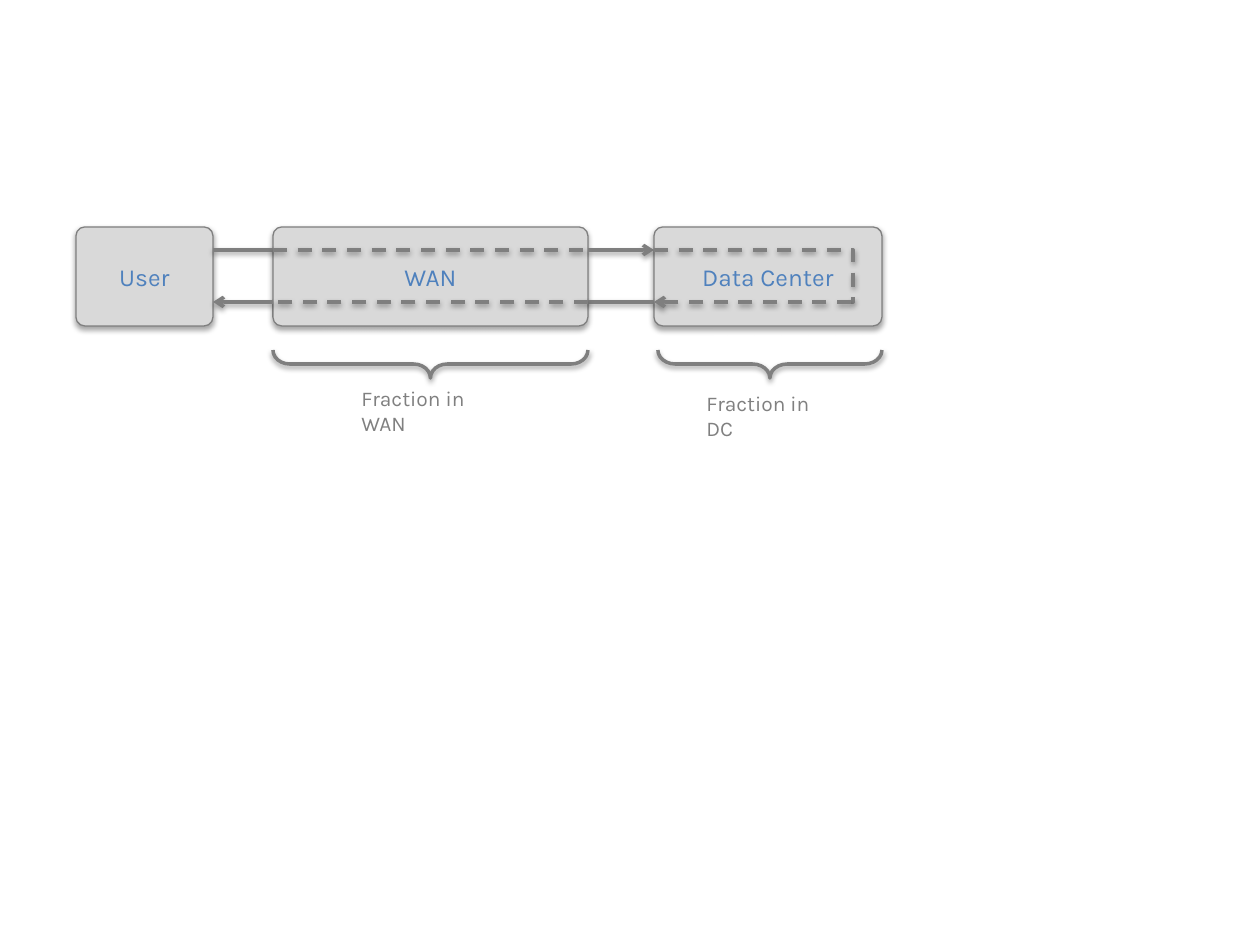
from lxml import etree
from pptx import Presentation
from pptx.dml.color import RGBColor
from pptx.enum.dml import MSO_LINE
from pptx.enum.shapes import MSO_CONNECTOR, MSO_SHAPE
from pptx.enum.text import MSO_ANCHOR, PP_ALIGN
from pptx.oxml.ns import qn
from pptx.util import Emu, Pt

ROUND_RECT, LEFT_BRACE = MSO_SHAPE.ROUNDED_RECTANGLE, MSO_SHAPE.LEFT_BRACE
STRAIGHT, ELBOW = MSO_CONNECTOR.STRAIGHT, MSO_CONNECTOR.ELBOW
DASH = MSO_LINE.DASH
LEFT, CENTER = PP_ALIGN.LEFT, PP_ALIGN.CENTER
TOP, MIDDLE = MSO_ANCHOR.TOP, MSO_ANCHOR.MIDDLE

SCALE = 914400 / 126
GRAY, PALE, BLUE = "7F7F7F", "D9D9D9", "4F81BD"
LABEL_GRAY = "808080"
BOX_TOP, BOX_HEIGHT = 227, 99
REQUEST_Y, REPLY_Y = 250, 302
USER_RIGHT, WAN_LEFT, WAN_RIGHT, DC_LEFT, TURN_X = 213, 273, 588, 654, 851


def px(*values):
    return [Emu(round(v * SCALE)) for v in values]


def color(hex_text):
    return RGBColor.from_string(hex_text)


def add_shadow(sp, opacity, dist):
    spPr = sp._element.spPr
    effects = spPr.find(qn("a:effectLst"))
    if effects is None:
        effects = etree.SubElement(spPr, qn("a:effectLst"))
    shadow = etree.SubElement(effects, qn("a:outerShdw"), blurRad=str(Pt(3.1)),
                              dist=str(Pt(dist)), dir="5400000", rotWithShape="0")
    clr = etree.SubElement(shadow, qn("a:srgbClr"), val="000000")
    etree.SubElement(clr, qn("a:alpha"), val=str(opacity * 1000))


def set_line(sp, hex_text, width):
    sp.line.color.rgb = color(hex_text)
    sp.line.width = Pt(width)


def set_text(sp, text, size, hex_text, align=LEFT, anchor=TOP):
    tf = sp.text_frame
    tf.word_wrap = True
    tf.vertical_anchor = anchor
    p = tf.paragraphs[0]
    p.alignment = align
    r = p.add_run()
    r.text = text
    r.font.size = Pt(size)
    r.font.name = "Karla"
    r.font.color.rgb = color(hex_text)


def add_box(s, text, x, width):
    sp = s.shapes.add_shape(ROUND_RECT, *px(x, BOX_TOP, width, BOX_HEIGHT))
    sp.adjustments[0] = 0.09
    sp.fill.solid()
    sp.fill.fore_color.rgb = color(PALE)
    set_line(sp, GRAY, 0.75)
    sp.shadow.inherit = False
    add_shadow(sp, 35, 1.8)
    set_text(sp, text, 14, BLUE, align=CENTER, anchor=MIDDLE)


def add_brace(s, x, y, width, height, curl):
    cx, cy = x + width / 2, y + height / 2
    sp = s.shapes.add_shape(
        LEFT_BRACE, *px(cx - height / 2, cy - width / 2, height, width))
    sp.rotation = 270
    sp.adjustments[0] = curl
    sp.adjustments[1] = 0.5
    sp.fill.background()
    set_line(sp, GRAY, 2)
    sp.shadow.inherit = False
    add_shadow(sp, 38, 1.6)


def add_label(s, text, x, y, width):
    sp = s.shapes.add_textbox(*px(x, y, width, 64))
    set_text(sp, text, 12, LABEL_GRAY)


def add_path(s, x1, y1, x2, y2, kind=STRAIGHT, dashed=False, arrow=False):
    cn = s.shapes.add_connector(kind, *px(x1, y1, x2, y2))
    set_line(cn, GRAY, 2)
    if dashed:
        cn.line.dash_style = DASH
    if arrow:
        etree.SubElement(cn.line._get_or_add_ln(), qn("a:tailEnd"), type="arrow")
    add_shadow(cn, 38, 1.6)
    return cn


def add_turn(s):
    cn = add_path(s, DC_LEFT, REQUEST_Y, TURN_X, REPLY_Y, kind=ELBOW, dashed=True)
    geom = cn._element.spPr.find(qn("a:prstGeom"))
    guides = geom.find(qn("a:avLst"))
    if guides is None:
        guides = etree.SubElement(geom, qn("a:avLst"))
    etree.SubElement(guides, qn("a:gd"), name="adj1", fmla="val 101100")


def main():
    prs = Presentation()
    prs.slide_width, prs.slide_height = px(1260, 945)
    s = prs.slides.add_slide(prs.slide_layouts[6])

    for text, x, width in (("WAN", WAN_LEFT, 315), ("Data Center", DC_LEFT, 228),
                           ("User", 76, 137)):
        add_box(s, text, x, width)

    for x1, x2, y, dashed, arrow in (
            (USER_RIGHT, WAN_LEFT, REQUEST_Y, False, False),
            (WAN_RIGHT, DC_LEFT, REQUEST_Y, False, True),
            (WAN_LEFT, WAN_RIGHT, REQUEST_Y, True, False),
            (DC_LEFT, WAN_RIGHT, REPLY_Y, False, False),
            (WAN_LEFT, USER_RIGHT, REPLY_Y, False, True),
            (WAN_RIGHT, WAN_LEFT, REPLY_Y, True, False)):
        add_path(s, x1, y, x2, y, dashed=dashed, arrow=arrow)

    add_brace(s, WAN_LEFT, 350, 315, 28, 0.6)
    add_brace(s, 658, 350, 224, 28, 0.62)
    add_label(s, "Fraction in WAN", 349, 379, 170)
    add_label(s, "Fraction in DC", 694, 384, 151)

    add_turn(s)
    add_path(s, TURN_X, REPLY_Y, DC_LEFT, REPLY_Y, dashed=True, arrow=True)

    prs.save("out.pptx")


main()
